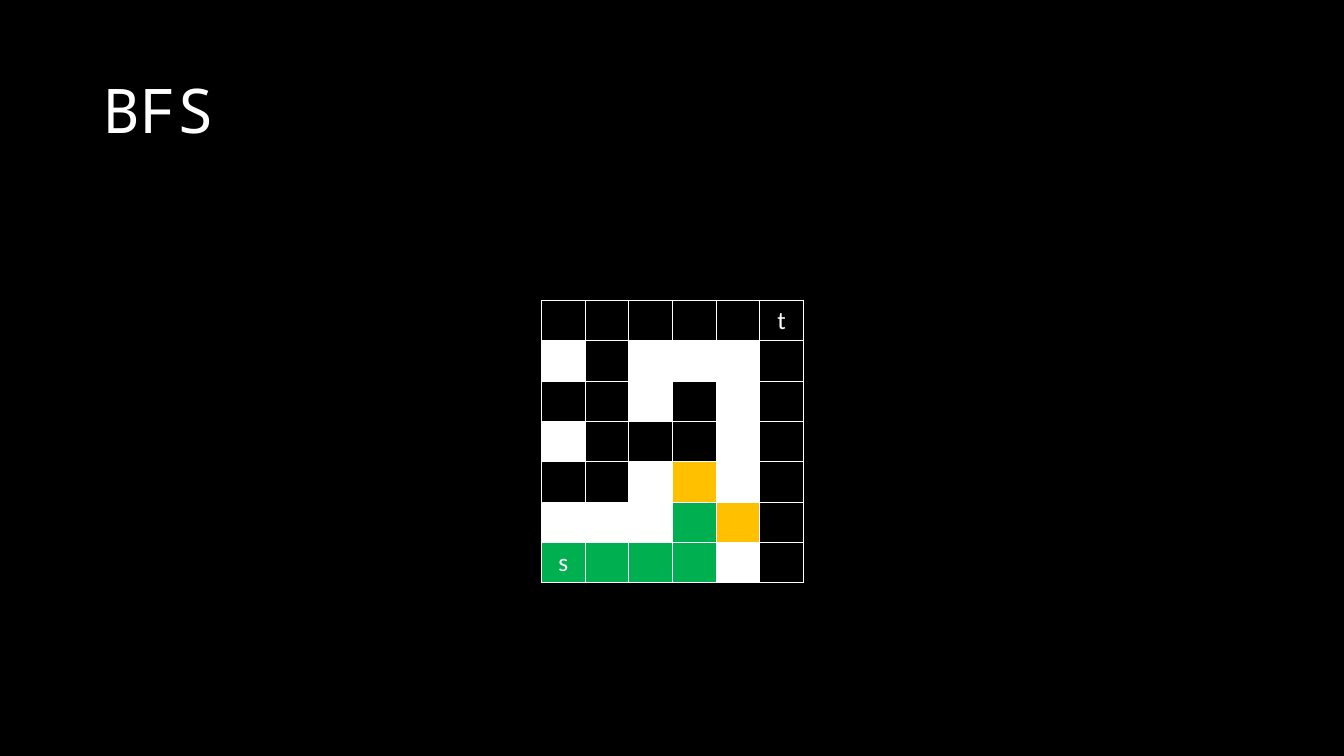
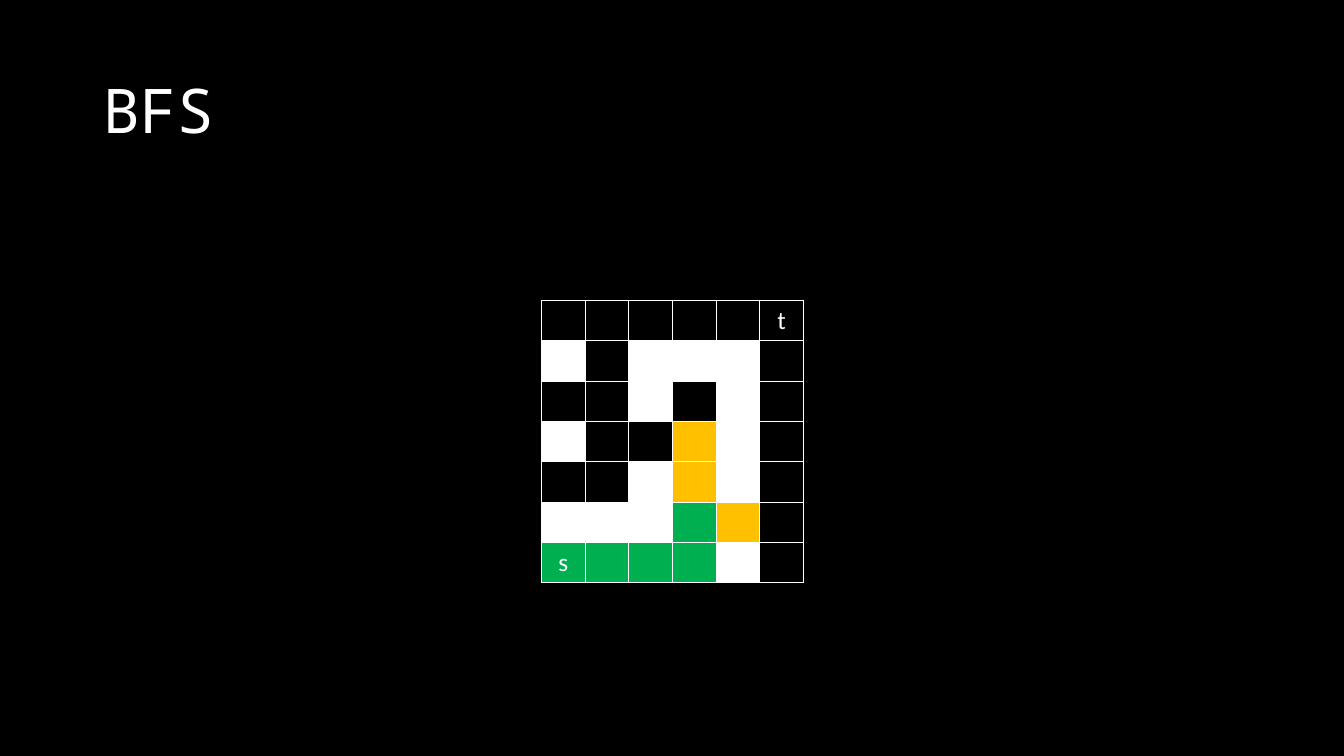
from dataclasses import dataclass

from lxml.etree import SubElement
from pptx import Presentation
from pptx.dml.color import RGBColor
from pptx.enum.text import MSO_ANCHOR, PP_ALIGN
from pptx.oxml.ns import qn
from pptx.presentation import Presentation as Deck
from pptx.slide import Slide
from pptx.table import _Cell
from pptx.util import Inches, Pt

COLORS = {
    "background": "000000",
    "text": "FFFFFF",
    "border": "FFFFFF",
    "wall": "FFFFFF",
    "visited": "00B050",
    "frontier": "FFC000",
}
TITLE_FONT = "Noto Sans Mono"
CELL_FONT = "Calibri"
MAZE_WIDTH, MAZE_HEIGHT = 2.6, 2.8
STATES = {"#": "wall", "v": "visited", "s": "visited", "f": "frontier"}
LABELS = "st"


@dataclass(frozen=True)
class SearchStep:
    title: str
    maze: tuple[str, ...]


FIRST_MAZE = (
    ".....t",
    "#.###.",
    "..#.#.",
    "#...#.",
    "..#f#.",
    "###vf.",
    "svvv#.",
)
SECOND_MAZE = FIRST_MAZE[:3] + ("#..f#.",) + FIRST_MAZE[4:]
STEPS = [SearchStep("BFS", FIRST_MAZE), SearchStep("BFS", SECOND_MAZE)]


def rgb(role: str) -> RGBColor:
    return RGBColor.from_string(COLORS[role])


def add_title(slide: Slide, text: str) -> None:
    title = slide.shapes.add_textbox(Inches(0.92), Inches(0.4), Inches(11.5), Inches(1.45))
    frame = title.text_frame
    frame.word_wrap = True
    frame.vertical_anchor = MSO_ANCHOR.MIDDLE
    heading = frame.paragraphs[0]
    heading.text = text
    heading.line_spacing = 0.9
    heading.font.name = TITLE_FONT
    heading.font.size = Pt(44)
    heading.font.color.rgb = rgb("text")


def add_borders(cell: _Cell) -> None:
    properties = cell._tc.get_or_add_tcPr()
    for position, side in enumerate(("lnL", "lnR", "lnT", "lnB")):
        line = properties.makeelement(qn(f"a:{side}"), {"w": str(Pt(1))})
        fill = SubElement(line, qn("a:solidFill"))
        SubElement(fill, qn("a:srgbClr"), {"val": COLORS["border"]})
        properties.insert(position, line)


def style_cell(cell: _Cell, mark: str) -> None:
    if mark in STATES:
        cell.fill.solid()
        cell.fill.fore_color.rgb = rgb(STATES[mark])
    else:
        cell.fill.background()
    add_borders(cell)
    if mark in LABELS:
        label = cell.text_frame.paragraphs[0]
        label.text = mark
        label.alignment = PP_ALIGN.CENTER
        label.font.name = CELL_FONT
        label.font.size = Pt(18)
        label.font.color.rgb = rgb("text")


def add_maze(slide: Slide, maze: tuple[str, ...]) -> None:
    grid = slide.shapes.add_table(
        len(maze), len(maze[0]),
        Inches(5.37), Inches(2.98), Inches(MAZE_WIDTH), Inches(MAZE_HEIGHT),
    ).table
    grid.first_row = False
    grid.horz_banding = False
    for row, marks in enumerate(maze):
        for column, mark in enumerate(marks):
            style_cell(grid.cell(row, column), mark)


def add_step(deck: Deck, step: SearchStep) -> None:
    slide = deck.slides.add_slide(deck.slide_layouts[6])
    add_title(slide, step.title)
    add_maze(slide, step.maze)


def main() -> None:
    deck = Presentation()
    deck.slide_width = Inches(13.33)
    deck.slide_height = Inches(7.5)
    backdrop = deck.slide_master.background.fill
    backdrop.solid()
    backdrop.fore_color.rgb = rgb("background")
    for step in STEPS:
        add_step(deck, step)
    deck.save("out.pptx")


main()
